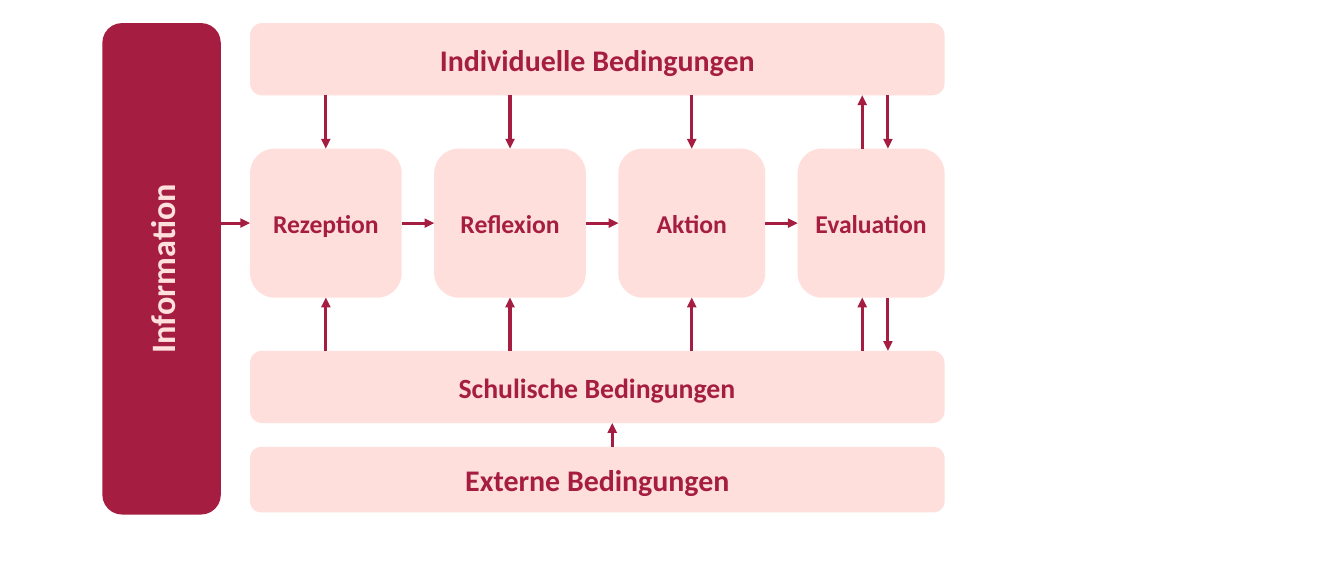
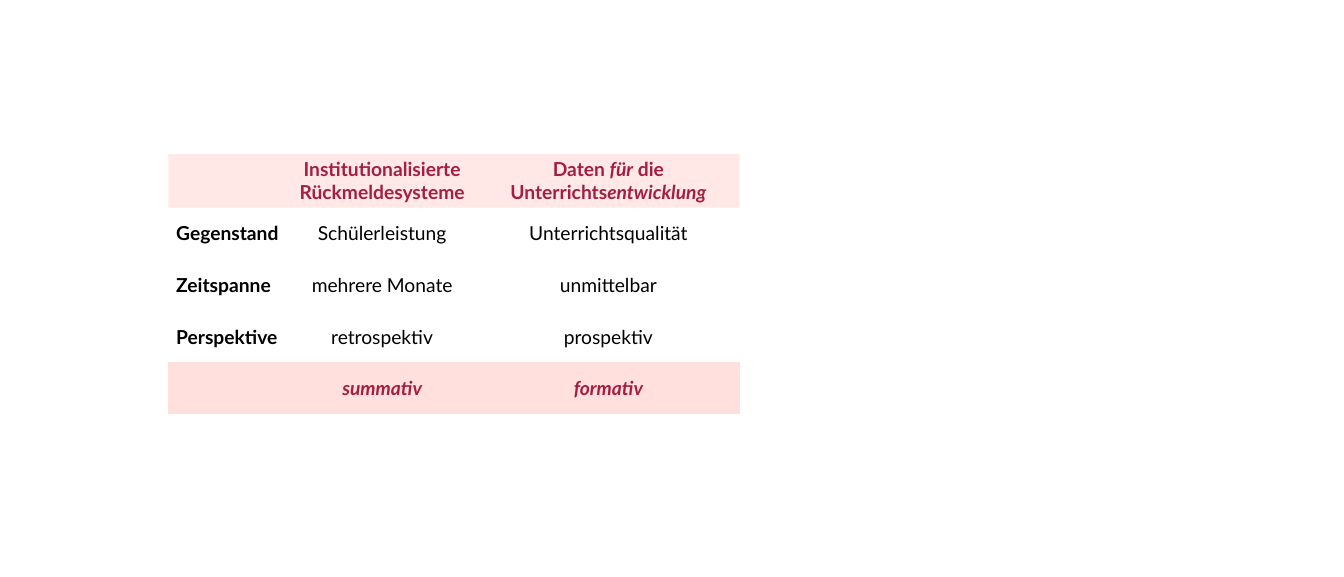
from lxml import etree
from pptx import Presentation
from pptx.dml.color import RGBColor
from pptx.enum.shapes import MSO_CONNECTOR, MSO_SHAPE
from pptx.enum.text import MSO_ANCHOR, PP_ALIGN
from pptx.oxml.ns import qn
from pptx.util import Pt

STRAIGHT = MSO_CONNECTOR.STRAIGHT
ROUNDED = MSO_SHAPE.ROUNDED_RECTANGLE
MIDDLE = MSO_ANCHOR.MIDDLE
LEFT, CENTER = PP_ALIGN.LEFT, PP_ALIGN.CENTER

COLORS = {"crimson": "A51E41", "rose": "FFBCB5", "blush": "FFE0DD", "black": "000000"}
DIAGRAM_FONT, TABLE_FONT = "Calibri", "Lato"
BLANK_LAYOUT = 6
PLAIN_TABLE_STYLE = "{2D5ABB26-0587-4C30-8999-92F81FD0307C}"

# Diagram grid
BAR_LEFT, BAR_WIDTH = 234, 650
INFORMATION_LEFT, INFORMATION_WIDTH, INFORMATION_HEIGHT = 95.8, 110.9, 460
INDIVIDUAL_TOP, SCHOOL_TOP, EXTERNAL_TOP = 21.6, 328.3, 418.3
BAR_HEIGHT, EXTERNAL_HEIGHT = 67.7, 61.2
STEP_TOP, STEP_HEIGHT = 139, 139.6
STEPS = [("Rezeption", 142), ("Reflexion", 142), ("Aktion", 137.5), ("Evaluation", 137.5)]
STEP_GAP = (BAR_WIDTH - sum(width for _, width in STEPS)) / (len(STEPS) - 1)
EVALUATION_IN, EVALUATION_OUT = 831, 807
EXTERNAL_ARROW_X = 573

# Table content: each cell is a list of (text, italic) runs
HEADER = [
    [],
    [("Institutionalisierte Rückmeldesysteme", False)],
    [("Daten ", False), ("für", True), (" die Unterrichts", False), ("entwicklung", True)],
]
BODY = [
    ("Gegenstand", "Schülerleistung", "Unterrichtsqualität"),
    ("Zeitspanne", "mehrere Monate", "unmittelbar"),
    ("Perspektive", "retrospektiv", "prospektiv"),
]
FOOTER = [[], [("summativ", True)], [("formativ", True)]]
COLUMN_WIDTHS = (111, 178, 245.5)
ROW_HEIGHT = 48.24


def rgb(color):
    return RGBColor.from_string(COLORS[color])


def set_fill(fill, properties, color, opacity=100):
    """Fill solidly; properties is the XML element that holds the fill."""
    fill.solid()
    fill.fore_color.rgb = rgb(color)
    if opacity < 100:
        color_element = properties.find(qn("a:solidFill")).find(qn("a:srgbClr"))
        etree.SubElement(color_element, qn("a:alpha")).set("val", str(opacity * 1000))


def set_font(paragraph, name, size, color, bold=True):
    font = paragraph.font
    font.name, font.size, font.bold = name, Pt(size), bold
    font.color.rgb = rgb(color)


def add_box(slide, text, left, top, width, height, size,
            fill="rose", opacity=47, color="crimson"):
    shape = slide.shapes.add_shape(ROUNDED, Pt(left), Pt(top), Pt(width), Pt(height))
    shape.shadow.inherit = False
    set_fill(shape.fill, shape.element.spPr, fill, opacity)
    shape.line.fill.background()
    frame = shape.text_frame
    frame.word_wrap = True
    frame.vertical_anchor = MIDDLE
    paragraph = frame.paragraphs[0]
    paragraph.text = text
    paragraph.alignment = CENTER
    set_font(paragraph, DIAGRAM_FONT, size, color)
    return shape


def add_arrow(slide, start_x, start_y, end_x, end_y):
    arrow = slide.shapes.add_connector(
        STRAIGHT, Pt(start_x), Pt(start_y), Pt(end_x), Pt(end_y))
    arrow.line.color.rgb = rgb("crimson")
    arrow.line.width = Pt(3)
    properties = arrow.element.spPr
    etree.SubElement(properties.find(qn("a:ln")), qn("a:tailEnd")).set("type", "triangle")
    etree.SubElement(properties, qn("a:effectLst"))


def build_process_slide(slide):
    individual_bottom = INDIVIDUAL_TOP + BAR_HEIGHT
    school_bottom = SCHOOL_TOP + BAR_HEIGHT
    step_bottom = STEP_TOP + STEP_HEIGHT
    step_middle = STEP_TOP + STEP_HEIGHT / 2

    information = add_box(slide, "Information", INFORMATION_LEFT, INDIVIDUAL_TOP,
                          INFORMATION_WIDTH, INFORMATION_HEIGHT, 32,
                          "crimson", 100, "blush")
    information.text_frame._txBody.bodyPr.set("vert", "vert270")

    for text, top, height, size in (
        ("Individuelle Bedingungen", INDIVIDUAL_TOP, BAR_HEIGHT, 28),
        ("Schulische Bedingungen", SCHOOL_TOP, BAR_HEIGHT, 26),
        ("Externe Bedingungen", EXTERNAL_TOP, EXTERNAL_HEIGHT, 28),
    ):
        add_box(slide, text, BAR_LEFT, top, BAR_WIDTH, height, size)

    left, previous_right = BAR_LEFT, INFORMATION_LEFT + INFORMATION_WIDTH
    centers = []
    for text, width in STEPS:
        add_box(slide, text, left, STEP_TOP, width, STEP_HEIGHT, 24)
        add_arrow(slide, previous_right, step_middle, left, step_middle)
        centers.append(left + width / 2)
        previous_right = left + width
        left = previous_right + STEP_GAP

    # Evaluation also acts back on both conditions, so its arrows come in pairs
    for x in centers[:-1] + [EVALUATION_IN]:
        add_arrow(slide, x, individual_bottom, x, STEP_TOP)
    for x in centers[:-1] + [EVALUATION_OUT]:
        add_arrow(slide, x, SCHOOL_TOP, x, step_bottom)
    add_arrow(slide, EVALUATION_OUT, STEP_TOP, EVALUATION_OUT, individual_bottom)
    add_arrow(slide, EVALUATION_IN, step_bottom, EVALUATION_IN, SCHOOL_TOP)
    add_arrow(slide, EXTERNAL_ARROW_X, EXTERNAL_TOP, EXTERNAL_ARROW_X, school_bottom)


def fill_cell(cell, runs, color, bold, alignment, opacity):
    """Write italic-flagged runs; an opacity of None leaves the cell unfilled."""
    cell.vertical_anchor = MIDDLE
    if opacity is None:
        cell.fill.background()
    else:
        set_fill(cell.fill, cell._tc.tcPr, "blush", opacity)
    paragraph = cell.text_frame.paragraphs[0]
    paragraph.alignment = alignment
    set_font(paragraph, TABLE_FONT, 18, color, bold)
    for text, italic in runs:
        run = paragraph.add_run()
        run.text = text
        run.font.italic = italic


def build_comparison_slide(slide):
    row_count = len(BODY) + 2
    table = slide.shapes.add_table(
        row_count, len(COLUMN_WIDTHS), Pt(157.7), Pt(144),
        Pt(sum(COLUMN_WIDTHS)), Pt(ROW_HEIGHT * row_count)).table
    table.horz_banding = False
    table._tbl.tblPr.find(qn("a:tableStyleId")).text = PLAIN_TABLE_STYLE
    for column, width in zip(table.columns, COLUMN_WIDTHS):
        column.width = Pt(width)
    for row in table.rows:
        row.height = Pt(ROW_HEIGHT)

    for row, contents, opacity in ((0, HEADER, 73), (row_count - 1, FOOTER, 100)):
        for column, runs in enumerate(contents):
            fill_cell(table.cell(row, column), runs, "crimson", True, CENTER, opacity)
    for row, texts in enumerate(BODY, start=1):
        for column, text in enumerate(texts):
            is_label = column == 0
            fill_cell(table.cell(row, column), [(text, False)], "black", is_label,
                      LEFT if is_label else CENTER, None)


def main():
    presentation = Presentation()
    presentation.slide_width, presentation.slide_height = Pt(1257.84), Pt(540)
    layout = presentation.slide_layouts[BLANK_LAYOUT]
    for build in (build_process_slide, build_comparison_slide):
        build(presentation.slides.add_slide(layout))
    presentation.save("out.pptx")


if __name__ == "__main__":
    main()
